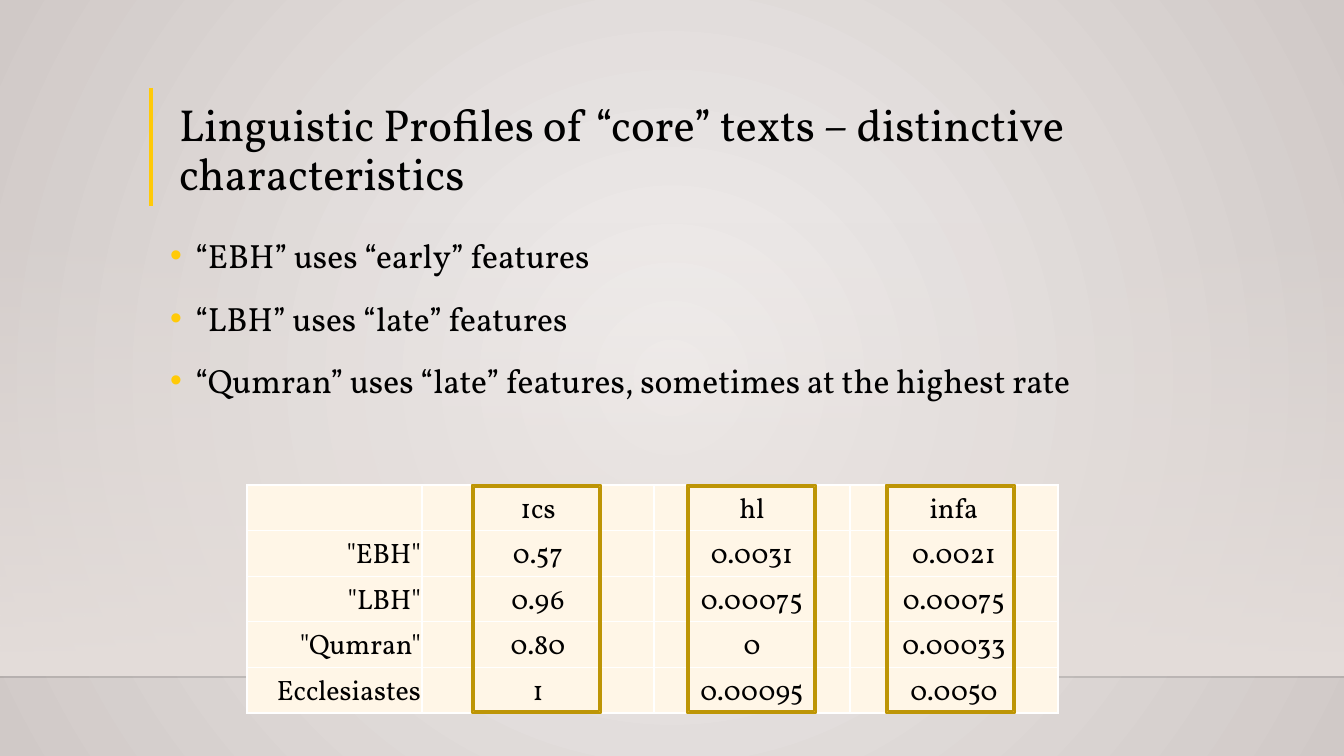
import pptx
import pptx.dml.color
import pptx.enum.dml
import pptx.enum.shapes
import pptx.enum.text
import pptx.oxml
import pptx.oxml.ns
import pptx.util
from lxml import etree

RGBColor = pptx.dml.color.RGBColor
BLACK = RGBColor(0x00, 0x00, 0x00)
WHITE = RGBColor(0xFF, 0xFF, 0xFF)
HORIZON = RGBColor(0x00, 0x00, 0x01)
GOLD = RGBColor(0xFF, 0xCA, 0x08)
DARK_GOLD = RGBColor(0xBD, 0x95, 0x06)
CREAM = RGBColor(0xFF, 0xF6, 0xE7)
PALE = RGBColor(0xF2, 0xEF, 0xEE)
GREY = RGBColor(0xD0, 0xC9, 0xC7)
FLOOR = RGBColor(0xE5, 0xDE, 0xDB)

ALIGN = pptx.enum.text.PP_ALIGN
ANCHOR = pptx.enum.text.MSO_ANCHOR
SHAPE = pptx.enum.shapes.MSO_SHAPE
PX_PER_INCH = 100.8
PAGE_SIZE = (1344, 756)

TITLE = "Linguistic Profiles of “core” texts – distinctive characteristics"
FEATURES = [
    "“EBH” uses “early” features",
    "“LBH” uses “late” features",
    "“Qumran” uses “late” features, sometimes at the highest rate",
]
RATES = [
    ["", "1cs", "hl", "infa"],
    ['"EBH"', "0.57", "0.0031", "0.0021"],
    ['"LBH"', "0.96", "0.00075", "0.00075"],
    ['"Qumran"', "0.80", "0", "0.00033"],
    ["Ecclesiastes", "1", "0.00095", "0.0050"],
]
COLUMN_WIDTHS = [175, 232, 196, 208]
TABLE_LEFT, TABLE_TOP, TABLE_HEIGHT = 247, 485, 228
FRAME_LEFTS = [472, 687, 886]
FRAME_WIDTH = 129


def px(length):
    return pptx.util.Emu(round(length * 914400 / PX_PER_INCH))


def apply(target, values):
    for name, value in values.items():
        setattr(target, name, value)


def add_xml(parent, tag, **attributes):
    return etree.SubElement(parent, pptx.oxml.ns.qn(tag), attributes)


class PageBuilder:
    font = "Vollkorn"

    def __init__(self, deck):
        self.page = deck.slides.add_slide(deck.slide_layouts[1])
        self.shapes = self.page.shapes

    def add_text(self, para, text, size, **layout):
        apply(para, layout)
        span = para.add_run()
        span.text = text
        apply(span.font, {"name": self.font, "size": pptx.util.Pt(size)})
        span.font.color.rgb = BLACK

    def gradient(self, fill, colours):
        fill.gradient()
        for stop, colour in zip(fill.gradient_stops, colours):
            stop.color.rgb = colour

    def background(self, centre, edge):
        self.gradient(self.page.background.fill, [centre, edge])
        gradient = self.page.element.find(".//" + pptx.oxml.ns.qn("a:gradFill"))
        gradient.remove(gradient.find(pptx.oxml.ns.qn("a:lin")))
        circle = add_xml(gradient, "a:path", path="circle")
        add_xml(circle, "a:fillToRect", l="50000", t="50000", r="50000", b="50000")

    def fade(self, left, top, width, height, colour):
        box = self.shapes.add_shape(SHAPE.RECTANGLE, *map(px, (left, top, width, height)))
        box.shadow.inherit = False
        box.line.fill.background()
        self.gradient(box.fill, [colour, colour])
        box.fill.gradient_angle = 270
        first_colour = box.element.find(".//" + pptx.oxml.ns.qn("a:srgbClr"))
        add_xml(first_colour, "a:alpha", val="0")

    def line(self, start, end, colour, width, opacity=100):
        rule = self.shapes.add_connector(
            pptx.enum.shapes.MSO_CONNECTOR.STRAIGHT, *map(px, start + end))
        rule.line.color.rgb = colour
        rule.line.width = pptx.util.Pt(width)
        if opacity < 100:
            tint = rule.element.find(".//" + pptx.oxml.ns.qn("a:srgbClr"))
            add_xml(tint, "a:alpha", val=str(opacity * 1000))
        add_xml(rule.element.spPr, "a:effectLst")

    def placeholder(self, index, left, top, width, height, anchor):
        box = self.page.placeholders[index]
        self.shapes.element.append(box.element)
        apply(box, {"left": px(left), "top": px(top),
                    "width": px(width), "height": px(height)})
        apply(box.text_frame, {"word_wrap": True, "vertical_anchor": anchor,
                               "auto_size": pptx.enum.text.MSO_AUTO_SIZE.NONE})
        return box.text_frame

    def title(self, text, *place):
        frame = self.placeholder(0, *place, ANCHOR.BOTTOM)
        self.add_text(frame.paragraphs[0], text, 32, alignment=ALIGN.LEFT, line_spacing=0.9)

    def bullets(self, items, *place):
        frame = self.placeholder(1, *place, ANCHOR.TOP)
        for number, item in enumerate(items):
            para = frame.add_paragraph() if number else frame.paragraphs[0]
            self.add_text(para, item, 24, alignment=ALIGN.LEFT, line_spacing=1.2,
                          space_before=pptx.util.Pt(10))
            properties = para._p.get_or_add_pPr()
            properties.set("marL", "228600")
            properties.set("indent", "-228600")
            add_xml(add_xml(properties, "a:buClr"), "a:srgbClr", val=str(GOLD))
            add_xml(properties, "a:buFont", typeface="Arial")
            add_xml(properties, "a:buChar", char="•")

    def cell(self, cell, text, alignment):
        apply(cell, {"margin_left": px(1), "margin_right": px(1), "margin_top": px(1),
                     "margin_bottom": 0, "vertical_anchor": ANCHOR.BOTTOM})
        properties = cell._tc.get_or_add_tcPr()
        for side in ("a:lnL", "a:lnR", "a:lnT", "a:lnB"):
            border = add_xml(properties, side, w="12700")
            add_xml(add_xml(border, "a:solidFill"), "a:srgbClr", val=str(WHITE))
        cell.fill.solid()
        cell.fill.fore_color.rgb = CREAM
        if text:
            self.add_text(cell.text_frame.paragraphs[0], text, 20, alignment=alignment)

    def table(self, rows, widths, left, top, height):
        place = map(px, (left, top, sum(widths), height))
        table = self.shapes.add_table(len(rows), len(widths), *place).table
        apply(table, {"first_row": False, "horz_banding": False})
        for column, width in zip(table.columns, widths):
            column.width = px(width)
        for row, texts in enumerate(rows):
            for column, text in enumerate(texts):
                alignment = ALIGN.CENTER if column else ALIGN.RIGHT
                self.cell(table.cell(row, column), text, alignment)

    def frame(self, left, top, width, height):
        box = self.shapes.add_shape(SHAPE.FRAME, *map(px, (left, top, width, height)))
        box.shadow.inherit = False
        box.adjustments[0] = 0.016
        box.fill.solid()
        box.fill.fore_color.rgb = GOLD
        box.line.color.rgb = DARK_GOLD
        box.line.width = pptx.util.Pt(1.25)


def main():
    deck = pptx.Presentation()
    apply(deck, dict(zip(("slide_width", "slide_height"), map(px, PAGE_SIZE))))
    builder = PageBuilder(deck)
    builder.background(PALE, GREY)
    builder.fade(0, 222, 1344, 454, FLOOR)
    builder.line((0, 677), (1344, 677), HORIZON, 1, opacity=20)
    builder.line((151, 88), (151, 206), GOLD, 3)
    builder.title(TITLE, 169, 89, 1049, 116)
    builder.bullets(FEATURES, 160, 222, 1119, 454)
    builder.table(RATES, COLUMN_WIDTHS, TABLE_LEFT, TABLE_TOP, TABLE_HEIGHT)
    for left in FRAME_LEFTS:
        builder.frame(left, TABLE_TOP, FRAME_WIDTH, TABLE_HEIGHT)
    deck.save("out.pptx")


if __name__ == "__main__":
    main()
